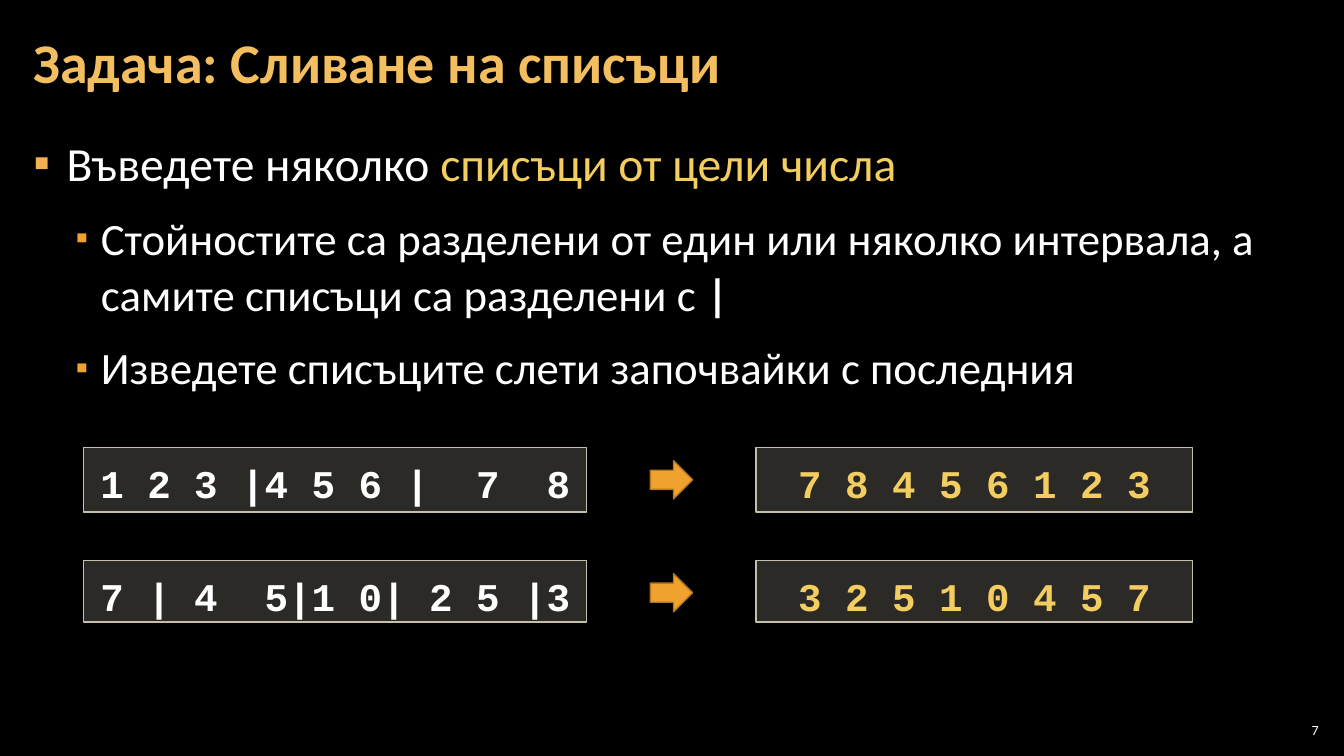
from lxml.etree import SubElement
from pptx import Presentation
from pptx.dml.color import RGBColor
from pptx.enum.shapes import MSO_SHAPE
from pptx.enum.text import MSO_ANCHOR, MSO_AUTO_SIZE, PP_ALIGN
from pptx.oxml.ns import qn
from pptx.util import Pt

PX = 9144  # EMU in one px, 100 px to the inch

BLACK = RGBColor(0x00, 0x00, 0x00)
WHITE = RGBColor(0xFF, 0xFF, 0xFF)
TITLE_GOLD = RGBColor(0xF3, 0xBE, 0x60)
YELLOW = RGBColor(0xF3, 0xCD, 0x60)
BULLET_GOLD = RGBColor(0xF2, 0xB2, 0x54)
ORANGE = RGBColor(0xF0, 0xA2, 0x2E)
ARROW_EDGE = RGBColor(0xB2, 0x78, 0x22)
BOX_FILL = RGBColor(0xD9, 0xD5, 0xC7)
BOX_EDGE = RGBColor(0xC7, 0xBF, 0xAC)

EXAMPLES = [
    (444, 64, "1 2 3 |4 5 6 |  7  8", "7 8 4 5 6 1 2 3"),
    (556, 61, "7 | 4  5|1 0| 2 5 |3", "3 2 5 1 0 4 5 7"),
]


def px(*lengths):
    return [length * PX for length in lengths]


def place(shape, left, top, width, height):
    shape.left, shape.top, shape.width, shape.height = px(left, top, width, height)


def set_frame(frame, anchor, side, edge):
    frame.word_wrap = True
    frame.auto_size = MSO_AUTO_SIZE.NONE
    frame.vertical_anchor = anchor
    frame.margin_left, frame.margin_right = px(side, side)
    frame.margin_top, frame.margin_bottom = px(edge, edge)


def add_run(paragraph, text, size, color, bold=False, font="Calibri"):
    run = paragraph.add_run()
    run.text = text
    run.font.name = font
    run.font.size = Pt(size)
    run.font.bold = bold
    run.font.color.rgb = color


def set_bullet(paragraph, indent, hanging, color, percent):
    properties = paragraph._p.get_or_add_pPr()
    properties.set("marL", str(indent * PX))
    properties.set("indent", str(-hanging * PX))
    bullet_color = SubElement(properties, qn("a:buClr"))
    SubElement(bullet_color, qn("a:srgbClr"), val=str(color))
    SubElement(properties, qn("a:buSzPct"), val=str(percent * 1000))
    SubElement(properties, qn("a:buChar"), char="▪")


def fill_title(title):
    place(title, 21, 4, 1047, 121)
    set_frame(title.text_frame, MSO_ANCHOR.MIDDLE, 12, 4)
    paragraph = title.text_frame.paragraphs[0]
    paragraph.alignment = PP_ALIGN.LEFT
    paragraph.line_spacing = 0.9
    add_run(paragraph, "Задача: Сливане на списъци", 40, TITLE_GOLD, True)


def add_item(frame, paragraph, level, runs):
    paragraph.level = level
    paragraph.line_spacing = 1.05
    paragraph.space_before = paragraph.space_after = Pt(6)
    if level == 0:
        set_bullet(paragraph, 33, 33, BULLET_GOLD, 100)
    else:
        set_bullet(paragraph, 67, 25, ORANGE, 80)
    for text, color, bold in runs:
        add_run(paragraph, text, 32 if level else 34, color, bold)


def fill_body(body):
    place(body, 21, 126, 1291, 609)
    frame = body.text_frame
    set_frame(frame, MSO_ANCHOR.TOP, 12, 4)
    add_item(frame, frame.paragraphs[0], 0, [
        ("Въведете няколко ", WHITE, False),
        ("списъци от цели числа", YELLOW, False),
    ])
    add_item(frame, frame.add_paragraph(), 1, [
        ("Стойностите са разделени от един или няколко интервала, "
         "а самите списъци са разделени с ", WHITE, False),
        ("|", WHITE, True),
    ])
    add_item(frame, frame.add_paragraph(), 1, [
        ("Изведете списъците слети започвайки с последния", WHITE, False),
    ])


def add_filled_shape(slide, preset, box, fill, edge):
    shape = slide.shapes.add_shape(preset, *px(*box))
    shape.shadow.inherit = False
    shape.fill.solid()
    shape.fill.fore_color.rgb = fill
    shape.line.color.rgb = edge
    shape.line.width = Pt(1)
    return shape


def add_code_box(slide, box, text, color):
    code_box = add_filled_shape(slide, MSO_SHAPE.RECTANGLE, box, BOX_FILL, BOX_EDGE)
    fill_color = code_box.fill._xPr.find(qn("a:solidFill"))[0]
    SubElement(fill_color, qn("a:alpha"), val="20000")
    frame = code_box.text_frame
    set_frame(frame, MSO_ANCHOR.TOP, 10, 5)
    frame.auto_size = MSO_AUTO_SIZE.SHAPE_TO_FIT_TEXT
    paragraph = frame.paragraphs[0]
    paragraph.alignment = PP_ALIGN.CENTER
    paragraph.line_spacing = 1.15
    add_run(paragraph, text, 28, color, True, "Courier New")


def add_example(slide, top, height, given, merged):
    add_code_box(slide, (83, top, 499, height), given, WHITE)
    add_filled_shape(slide, MSO_SHAPE.RIGHT_ARROW, (645, top + 13, 42, 38),
                     ORANGE, ARROW_EDGE)
    add_code_box(slide, (750, top, 433, height), merged, YELLOW)


def add_slide_number(slide):
    number = slide.shapes.add_textbox(*px(1265, 714, 47, 21))
    set_frame(number.text_frame, MSO_ANCHOR.MIDDLE, 4, 4)
    paragraph = number.text_frame.paragraphs[0]
    paragraph.alignment = PP_ALIGN.RIGHT
    add_run(paragraph, "7", 10, WHITE)


def main():
    deck = Presentation()
    deck.slide_width, deck.slide_height = px(1333, 750)
    slide = deck.slides.add_slide(deck.slide_layouts[1])
    slide.background.fill.solid()
    slide.background.fill.fore_color.rgb = BLACK
    add_slide_number(slide)
    fill_title(slide.shapes.title)
    fill_body(slide.placeholders[1])
    for example in EXAMPLES:
        add_example(slide, *example)
    deck.save("out.pptx")


if __name__ == "__main__":
    main()
